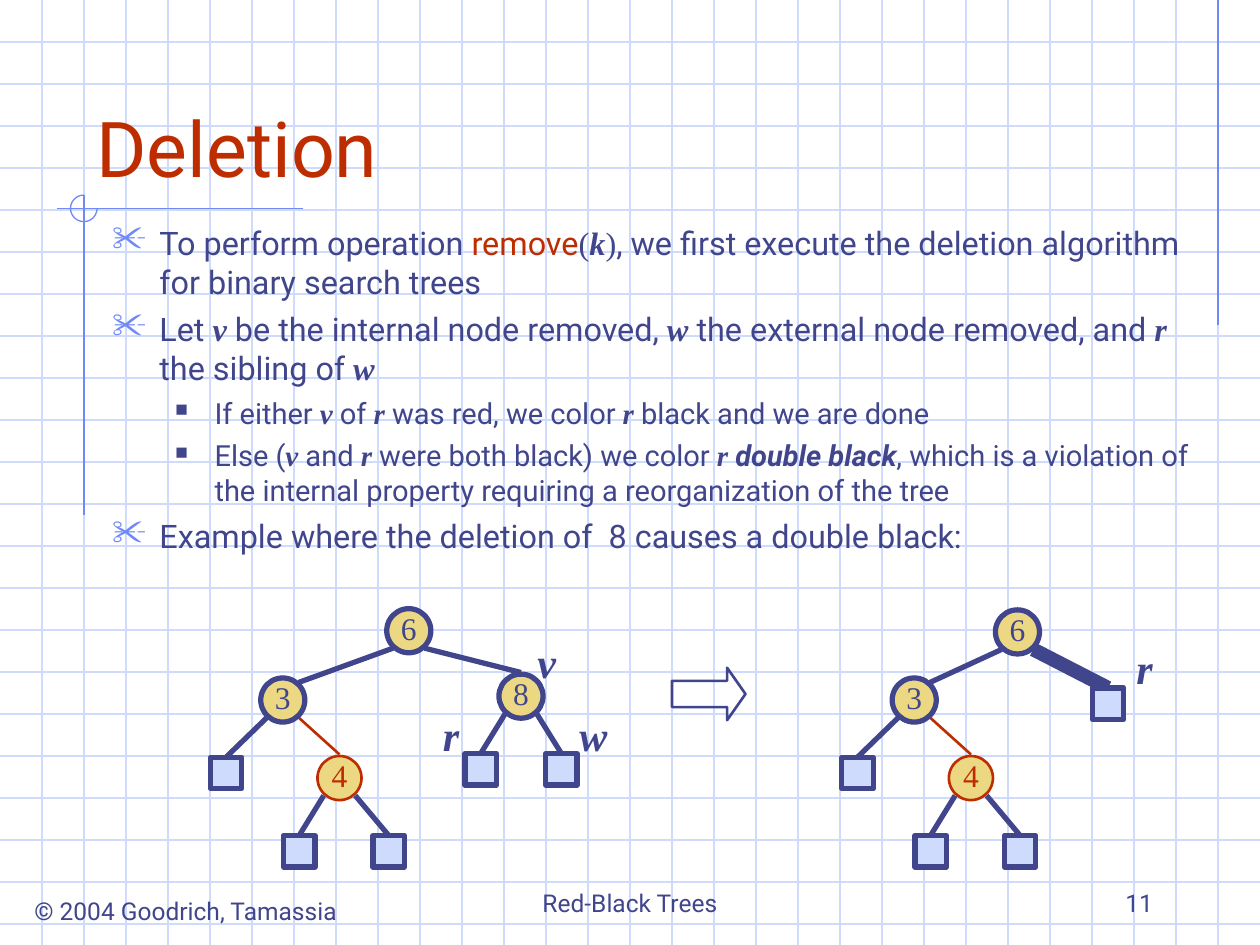
from lxml.etree import SubElement
from pptx import Presentation
from pptx.dml.color import RGBColor
from pptx.enum.shapes import MSO_CONNECTOR, MSO_SHAPE as SHAPE
from pptx.enum.text import MSO_ANCHOR as ANCHOR, PP_ALIGN as ALIGN
from pptx.oxml.ns import qn
from pptx.util import Pt

INK, RED, BLUE, PALE, GOLD = "40458C", "BE2D00", "6F89F7", "CFDBFD", "ECD882"
SANS, SERIF = "Roboto", "Times New Roman"
WIDTH, HEIGHT, GRID = 720, 540, 24

# Run styles used in the body text
VAR = dict(font=SERIF, bold=True, italic=True)
CODE = dict(color=RED)
PAREN = dict(font=SERIF)
STRONG = dict(bold=True, italic=True)

# Body: (level, runs); a run is plain text or (text, style)
BODY = [
    (0, ["To perform operation ", ("remove", CODE), ("(", PAREN), ("k", VAR), (")", PAREN),
         ", we first execute the deletion algorithm for binary search trees"]),
    (0, ["Let ", ("v", VAR), " be the internal node removed, ", ("w", VAR),
         " the external node removed, and ", ("r", VAR), " the sibling of ", ("w", VAR)]),
    (1, ["If either ", ("v", VAR), " of ", ("r", VAR), " was red, we color ", ("r", VAR),
         " black and we are done"]),
    (1, ["Else (", ("v", VAR), " and ", ("r", VAR), " were both black) we color ",
         ("r ", VAR), ("double black", STRONG),
         ", which is a violation of the internal property requiring a reorganization of the tree"]),
    (0, ["Example where the deletion of  8 causes a double black:"]),
]
LEVELS = [
    dict(size=18.5, before=5, left=27, hang=27, bullet="✂", bullet_color=BLUE, bullet_pct=110),
    dict(size=16.6, before=4.5, left=58.5, hang=22.5, bullet="■", bullet_color=INK, bullet_pct=60),
]

# Plain texts: text, box, format
TEXTS = [
    ("© 2004 Goodrich, Tamassia", (8.6, 508.3, 195, 24.5), dict(size=14, align=ALIGN.CENTER, wrap=False)),
    ("Red-Black Trees", (246, 492, 228, 36), dict(size=14, align=ALIGN.CENTER, anchor=ANCHOR.BOTTOM)),
    ("11", (516, 492, 150, 36), dict(size=14, align=ALIGN.RIGHT, anchor=ANCHOR.BOTTOM)),
    ("Deletion", (48, 24, 612, 90), dict(size=44, color=RED, anchor=ANCHOR.BOTTOM)),
]
# Node letters: text, left, top, width
LETTERS = [("v", 300, 360, 24.5), ("r", 245.5, 402, 24.5), ("w", 324, 402, 30), ("r", 636, 363.6, 36)]

# Trees: nodes as name: (centre x, centre y); digits are circles, letters are leaves
SUBTREE = {"3": (161.6, 400), "4": (194, 444.6), "a": (129.2, 441.7),
           "b": (171, 486.4), "c": (222.1, 486.4)}
# Edges: parent, child, x offset of the end on the child
SUBEDGES = [("6", "3", 9), ("3", "a", 0), ("3", "4", 0), ("4", "b", 0), ("4", "c", 0)]
SHIFT = 360.8
BEFORE = {"6": (233.6, 360.4), "8": (297.7, 397.8), "d": (274.7, 439.6), "e": (320.8, 439.6)} | SUBTREE
AFTER = {"6": (581.4, 361.1), "d": (633.2, 402.1)} | {n: (x + SHIFT, y) for n, (x, y) in SUBTREE.items()}
TREES = [
    (BEFORE, SUBEDGES + [("6", "8", 0), ("8", "d", 0), ("8", "e", 0)], {}),
    (AFTER, SUBEDGES + [("6", "d", 0)], {("6", "d"): 8}),
]
CIRCLE, LEAF = 25.2, 18


def rgb(value):
    return RGBColor.from_string(value)


def pts(values):
    return [Pt(v) for v in values]


def write(p, text, size=18, font=SANS, color=INK, bold=False, italic=False):
    r = p.add_run()
    r.text = text
    f = r.font
    f.size, f.name, f.bold, f.italic = Pt(size), font, bold, italic
    f.color.rgb = rgb(color)


def frame(sp, insets=(7.2, 3.6, 7.2, 3.6), anchor=ANCHOR.TOP, wrap=True):
    tf = sp.text_frame
    tf.margin_left, tf.margin_top, tf.margin_right, tf.margin_bottom = pts(insets)
    tf.vertical_anchor, tf.word_wrap = anchor, wrap
    return tf


def add_text(s, text, box, align=ALIGN.LEFT, anchor=ANCHOR.TOP, wrap=True, **style):
    p = frame(s.shapes.add_textbox(*pts(box)), anchor=anchor, wrap=wrap).paragraphs[0]
    p.alignment = align
    write(p, text, **style)


def add_line(s, start, end, color=INK, width=0.75):
    c = s.shapes.add_connector(MSO_CONNECTOR.STRAIGHT, *pts(start + end))
    c.line.color.rgb, c.line.width = rgb(color), Pt(width)
    SubElement(c._element.spPr, qn("a:effectLst"))
    return c


def add_outline(s, kind, box, fill=None, color=INK, width=3):
    sp = s.shapes.add_shape(kind, *pts(box))
    sp.shadow.inherit = False
    if fill:
        sp.fill.solid()
        sp.fill.fore_color.rgb = rgb(fill)
    else:
        sp.fill.background()
    sp.line.color.rgb, sp.line.width = rgb(color), Pt(width)
    return sp


def set_bullet(p, left, hang, bullet, bullet_color, bullet_pct):
    pPr = p._p.get_or_add_pPr()
    pPr.set("marL", str(Pt(left)))
    pPr.set("indent", str(-Pt(hang)))
    SubElement(SubElement(pPr, qn("a:buClr")), qn("a:srgbClr"), val=bullet_color)
    SubElement(pPr, qn("a:buSzPct"), val=str(bullet_pct * 1000))
    SubElement(pPr, qn("a:buChar"), char=bullet)


def add_body(s):
    tf = frame(s.shapes.add_textbox(*pts((57, 123.8, 630, 224))))
    for i, (level, runs) in enumerate(BODY):
        p = tf.paragraphs[0] if i == 0 else tf.add_paragraph()
        look = dict(LEVELS[level])
        size, before = look.pop("size"), look.pop("before")
        p.level = level
        set_bullet(p, **look)
        p.space_before = Pt(before if i else 0)
        for run in runs:
            text, style = (run, {}) if isinstance(run, str) else run
            write(p, text, size=size, **style)


def add_node(s, name, x, y):
    if name.isalpha():
        return add_outline(s, SHAPE.RECTANGLE, (x - LEAF / 2, y - LEAF / 2, LEAF, LEAF), PALE)
    color, width = (RED, 1.5) if name == "4" else (INK, 3)
    box = (x - CIRCLE / 2, y - CIRCLE / 2, CIRCLE, CIRCLE)
    sp = add_outline(s, SHAPE.OVAL, box, GOLD, color, width)
    p = frame(sp, (0, 0, 0, 3.6), ANCHOR.MIDDLE, False).paragraphs[0]
    p.alignment = ALIGN.CENTER
    write(p, name, font=SERIF, color=color)
    return sp


def add_tree(s, nodes, edges, widths):
    shapes = {name: add_node(s, name, x, y) for name, (x, y) in nodes.items()}
    lowest = next(iter(shapes.values()))
    for parent, child, dx in edges:
        (px, py), (cx, cy) = nodes[parent], nodes[child]
        color, width = (RED, 1.5) if child == "4" else (INK, widths.get((parent, child), 3))
        start = (px + (9 if cx > px else -9), py + 10)
        c = add_line(s, start, (cx + dx, cy - (10 if dx else 13.5)), color, width)
        if child.isalpha():
            c.end_connect(shapes[child], 0)
        lowest._element.addprevious(c._element)  # edges lie behind nodes


def main():
    prs = Presentation()
    prs.slide_width, prs.slide_height = Pt(WIDTH), Pt(HEIGHT)
    s = prs.slides.add_slide(prs.slide_layouts[6])

    # Graph paper
    for y in range(GRID, HEIGHT, GRID):
        add_line(s, (0, y), (WIDTH, y), PALE)
    for x in range(GRID, WIDTH, GRID):
        add_line(s, (x, 0), (x, HEIGHT), PALE)

    # Ruled accents and the open circle
    for start, end in [((696, 0), (696, 186)), ((173, 119.3), (32.4, 119.3)), ((48, 111.5), (48, 294.5))]:
        add_line(s, start, end, BLUE)
    arc = add_outline(s, SHAPE.ARC, (40.3, 111.5, 15.2, 15.2), color=BLUE, width=0.75)
    arc.adjustments[0], arc.adjustments[1] = 0, 162  # 0 to 270 degrees

    # Title, footer and body
    for text, box, style in TEXTS:
        add_text(s, text, box, **style)
    add_body(s)

    # Trees before and after, with the arrow between
    for tree in TREES:
        add_tree(s, *tree)
    arrow = add_outline(s, SHAPE.RIGHT_ARROW, (384, 381.6, 42, 30), width=1.5)
    arrow.adjustments[0], arrow.adjustments[1] = 0.5, 0.35
    for text, x, y, w in LETTERS:
        add_text(s, text, (x, y, w, 36), align=ALIGN.CENTER, size=24, **VAR)

    prs.save("out.pptx")


if __name__ == "__main__":
    main()
